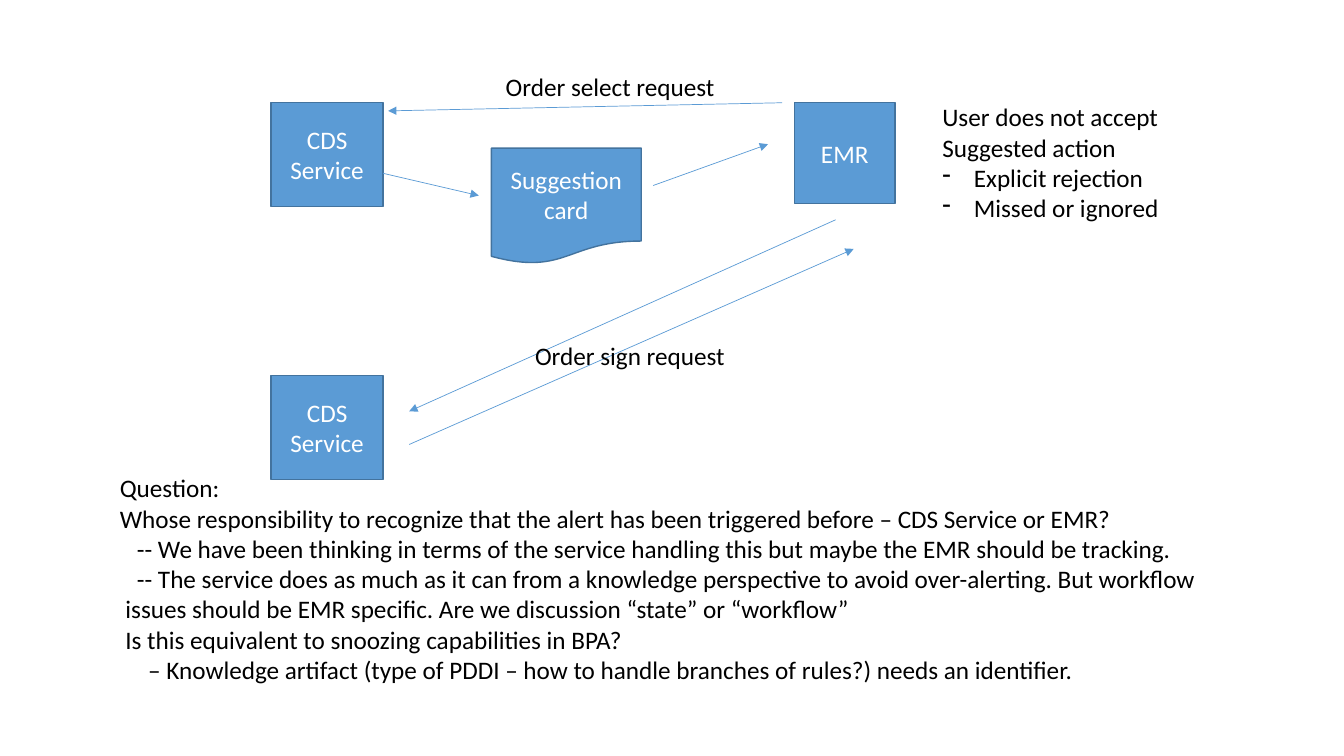
from lxml.etree import SubElement
from pptx import Presentation
from pptx.dml.color import RGBColor
from pptx.enum.shapes import MSO_CONNECTOR as Connector, MSO_SHAPE as Shape
from pptx.enum.text import MSO_ANCHOR as Anchor, MSO_AUTO_SIZE as AutoSize, PP_ALIGN as Align
from pptx.oxml.ns import qn
from pptx.util import Pt

BLUE = RGBColor(0x5B, 0x9B, 0xD5)
DARK_BLUE = RGBColor(0x43, 0x73, 0x9E)
WHITE = RGBColor(0xFF, 0xFF, 0xFF)
BLACK = RGBColor(0, 0, 0)


def write_text(shape, lines, color=BLACK, align=Align.LEFT, anchor=Anchor.TOP,
               wrap=True, auto_size=AutoSize.SHAPE_TO_FIT_TEXT):
    frame = shape.text_frame
    frame.word_wrap = wrap
    frame.auto_size = auto_size
    frame.vertical_anchor = anchor
    for index, (text, indent, bullet) in enumerate(lines):
        paragraph = frame.paragraphs[0] if index == 0 else frame.add_paragraph()
        paragraph.alignment = align
        run = paragraph.add_run()
        run.text = text
        run.font.name = "Calibri"
        run.font.size = Pt(18)
        run.font.color.rgb = color
        properties = paragraph._p.get_or_add_pPr()
        if indent:
            properties.set("marL", str(Pt(indent)))
        if bullet:
            properties.set("indent", str(-Pt(indent)))
            SubElement(properties, qn("a:buFontTx"))
            SubElement(properties, qn("a:buChar")).set("char", bullet)


presentation = Presentation()
presentation.slide_width = Pt(960)
presentation.slide_height = Pt(540)
slide = presentation.slides.add_slide(presentation.slide_layouts[6])

SERVICE_LEFT, SERVICE_WIDTH, SERVICE_HEIGHT = 193.7, 80, 74.2
TOP_ROW = 73.4
boxes = [
    ("CDS Service", Shape.RECTANGLE, SERVICE_LEFT, TOP_ROW, SERVICE_WIDTH, SERVICE_HEIGHT),
    ("EMR", Shape.RECTANGLE, 567.4, TOP_ROW, 72, 72),
    ("CDS Service", Shape.RECTANGLE, SERVICE_LEFT, 268.4, SERVICE_WIDTH, SERVICE_HEIGHT),
    ("Suggestion card", Shape.FLOWCHART_DOCUMENT, 351, 105.8, 107, 82.8),
]
for text, kind, left, top, width, height in boxes:
    box = slide.shapes.add_shape(kind, Pt(left), Pt(top), Pt(width), Pt(height))
    box.shadow.inherit = False
    box.fill.solid()
    box.fill.fore_color.rgb = BLUE
    box.line.color.rgb = DARK_BLUE
    box.line.width = Pt(1)
    write_text(box, [(text, 0, None)], color=WHITE, align=Align.CENTER,
               anchor=Anchor.MIDDLE, auto_size=AutoSize.NONE)

arrows = [
    (558.7, 73.4, 277.2, 79.2),
    (273.6, 123.8, 342, 139.7),
    (466.6, 132.5, 548.6, 103),
    (596.9, 157, 292.3, 293.8),
    (292.3, 317.5, 609.8, 177.8),
]
for ends in arrows:
    arrow = slide.shapes.add_connector(Connector.STRAIGHT, *[Pt(value) for value in ends])
    arrow.line.color.rgb = BLUE
    arrow.line.width = Pt(0.5)
    SubElement(arrow.line._get_or_add_ln(), qn("a:tailEnd")).set("type", "triangle")
    SubElement(arrow._element.spPr, qn("a:effectLst"))

rejection = [
    ("User does not accept", 0, None),
    ("Suggested action", 0, None),
    ("Explicit rejection", 22.5, "-"),
    ("Missed or ignored", 22.5, "-"),
]
question = [
    ("Question:", 0, None),
    ("Whose responsibility to recognize that the alert has been triggered before – CDS Service or EMR?", 0, None),
    ("-- We have been thinking in terms of the service handling this but maybe the EMR should be tracking.", 12.2, None),
    ("-- The service does as much as it can from a knowledge perspective to avoid over-alerting. But workflow", 12.2, None),
    ("issues should be EMR specific. Are we discussion “state” or “workflow”", 4, None),
    ("Is this equivalent to snoozing capabilities in BPA?", 4, None),
    ("– Knowledge artifact (type of PDDI – how to handle branches of rules?) needs an identifier.", 20.3, None),
]
notes = [
    ([("Order select request", 0, None)], 354.2, 47.5, 165.6, 28.8, False),
    ([("Order sign request", 0, None)], 375.1, 239.8, 151.9, 28.8, False),
    (rejection, 666, 69.1, 282.2, 94.3, True),
    (question, 78.5, 334.1, 792.7, 159.8, False),
]
for lines, left, top, width, height, wrap in notes:
    note = slide.shapes.add_textbox(Pt(left), Pt(top), Pt(width), Pt(height))
    write_text(note, lines, wrap=wrap)

presentation.save("out.pptx")
